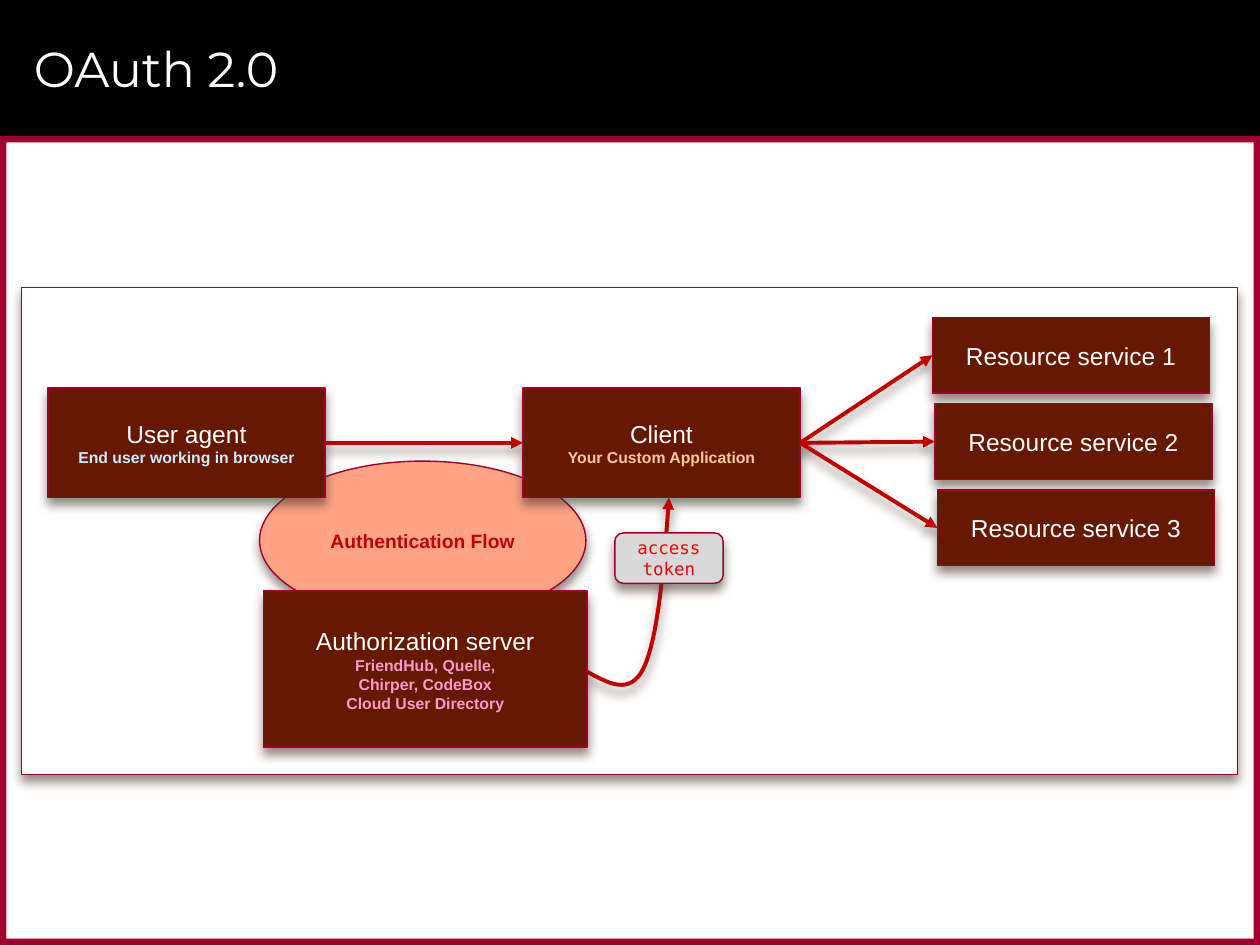
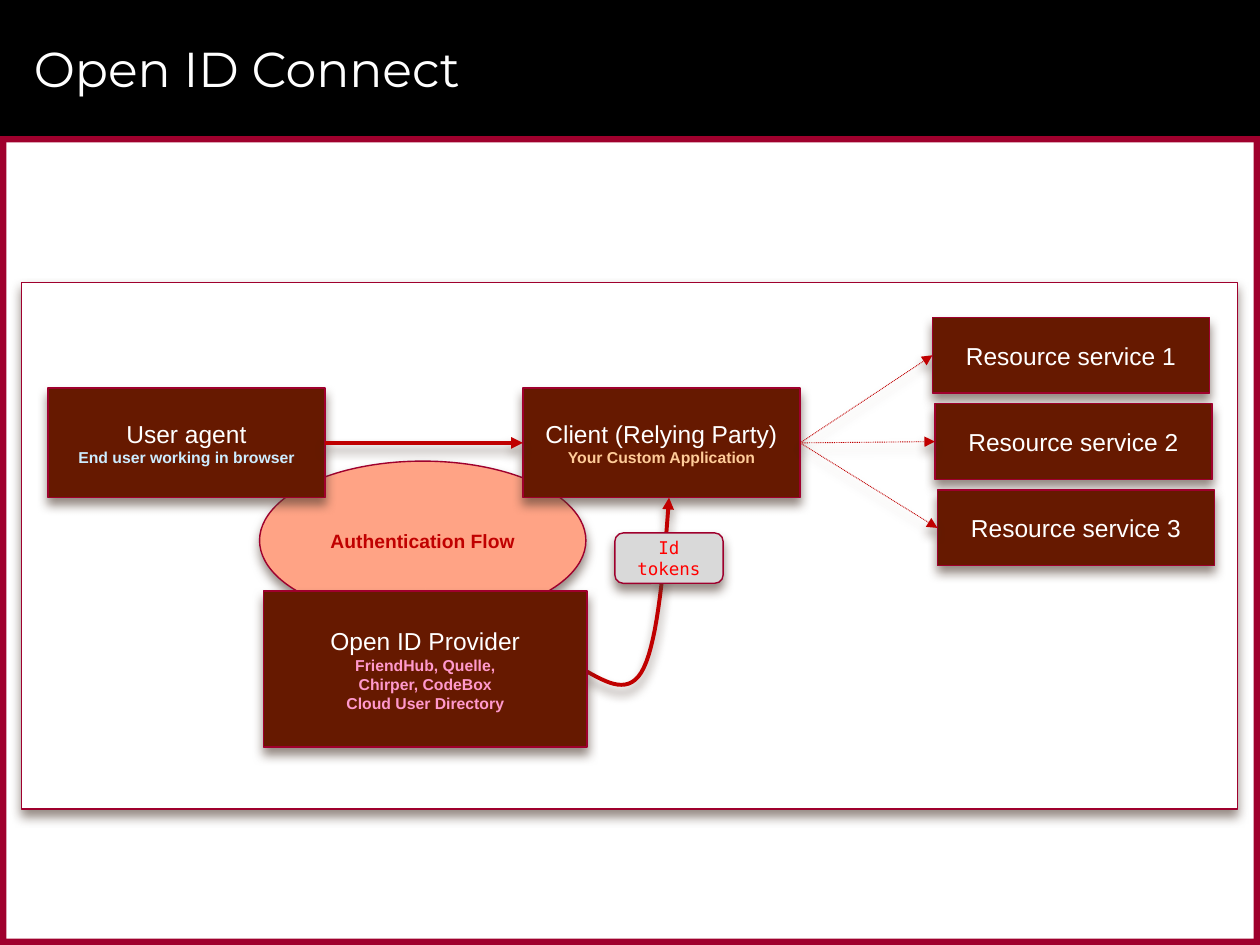
from pptx import Presentation
from pptx.dml.color import RGBColor
from pptx.enum.dml import MSO_LINE
from pptx.enum.shapes import MSO_CONNECTOR, MSO_SHAPE
from pptx.enum.text import MSO_ANCHOR, PP_ALIGN
from pptx.oxml import parse_xml
from pptx.oxml.ns import nsdecls, qn
from pptx.util import Inches, Pt

# Shared look
BLACK, WHITE = "000000", "FFFFFF"
CRIMSON, BROWN, ARROW_RED = "9F002D", "661900", "C00000"
BODY_FONT, TITLE_FONT, CODE_FONT = "Arial", "Montserrat", "DejaVu Sans Mono"
BANDS = [
    (0, 0, 10, 1.08, BLACK),
    (0, 1.08, 10, 0.05, CRIMSON),
    (0, 7.45, 10, 0.05, CRIMSON),
    (9.95, 1.08, 0.05, 6.42, CRIMSON),
    (0, 1.08, 0.05, 6.42, CRIMSON),
]
SHADOW = (
    f'<a:effectLst {nsdecls("a")}>'
    f'<a:outerShdw blurRad="{Pt(6)}" dist="{Pt(4)}" dir="5400000" rotWithShape="0">'
    '<a:srgbClr val="4E3B30"><a:alpha val="60000"/></a:srgbClr>'
    '</a:outerShdw></a:effectLst>'
)

# Connection sites of a rectangle
LEFT_SITE, RIGHT_SITE = 1, 3

# Token path: start point, then two cubic curves
TOKEN_START = (4.64, 5.32)
TOKEN_CURVES = [
    ((4.82, 5.42), (5, 5.53), (5.11, 5.3)),
    ((5.22, 5.07), (5.27, 4.51), (5.31, 3.95)),
]
CURVE_STEPS = 16

PROVIDERS = ["FriendHub, Quelle,", "Chirper, CodeBox", "Cloud User Directory"]


def color(hex_text):
    return RGBColor.from_string(hex_text)


def add_shadow(shape):
    shape._element.spPr.append(parse_xml(SHADOW))


def add_band(page, left, top, width, height, fill):
    band = page.shapes.add_shape(
        MSO_SHAPE.RECTANGLE, Inches(left), Inches(top), Inches(width), Inches(height))
    band.shadow.inherit = False
    band.fill.solid()
    band.fill.fore_color.rgb = color(fill)
    band.line.fill.background()


def add_title(page, text):
    box = page.shapes.add_textbox(Inches(0.17), Inches(0.08), Inches(9.42), Inches(0.92))
    frame = box.text_frame
    frame.word_wrap = True
    frame.vertical_anchor = MSO_ANCHOR.MIDDLE
    write_line(frame.paragraphs[0], text, 28, WHITE, font=TITLE_FONT, align=PP_ALIGN.LEFT)


def write_line(para, text, size, ink, bold=False, font=BODY_FONT, align=PP_ALIGN.CENTER):
    para.text = text
    para.alignment = align
    para.font.name = font
    para.font.size = Pt(size)
    para.font.bold = bold
    para.font.color.rgb = color(ink)


def add_box(page, left, top, width, height, fill=BROWN, kind=MSO_SHAPE.RECTANGLE):
    """Draw a filled, outlined shape with the shared shadow."""
    box = page.shapes.add_shape(
        kind, Inches(left), Inches(top), Inches(width), Inches(height))
    box.fill.solid()
    box.fill.fore_color.rgb = color(fill)
    box.line.color.rgb = color(CRIMSON)
    box.line.width = Pt(0.79)
    add_shadow(box)
    box.text_frame.word_wrap = True
    box.text_frame.vertical_anchor = MSO_ANCHOR.MIDDLE
    return box


def add_role(page, left, top, width, height, name, details=(), detail_ink=WHITE):
    """Draw a brown box with a name and small bold lines below it."""
    box = add_box(page, left, top, width, height)
    frame = box.text_frame
    write_line(frame.paragraphs[0], name, 14, WHITE)
    for detail in details:
        write_line(frame.add_paragraph(), detail, 9, detail_ink, bold=True)
    return box


def style_arrow(arrow, width=2.25, dash=None):
    arrow.line.color.rgb = color(ARROW_RED)
    arrow.line.width = Pt(width)
    if dash:
        arrow.line.dash_style = dash
    outline = arrow._element.spPr.find(qn("a:ln"))
    outline.append(parse_xml(f'<a:tailEnd {nsdecls("a")} type="triangle"/>'))
    add_shadow(arrow)


def add_arrow(page, source, target, **style):
    arrow = page.shapes.add_connector(MSO_CONNECTOR.STRAIGHT, 0, 0, 0, 0)
    arrow.begin_connect(source, RIGHT_SITE)
    arrow.end_connect(target, LEFT_SITE)
    style_arrow(arrow, **style)


def curve_point(t, *controls):
    weights = ((1 - t) ** 3, 3 * t * (1 - t) ** 2, 3 * t * t * (1 - t), t ** 3)
    return tuple(
        Inches(sum(weight * point[axis] for weight, point in zip(weights, controls)))
        for axis in (0, 1))


def add_token_path(page):
    start, points = TOKEN_START, []
    for curve in TOKEN_CURVES:
        points += [curve_point(step / CURVE_STEPS, start, *curve)
                   for step in range(1, CURVE_STEPS + 1)]
        start = curve[-1]
    builder = page.shapes.build_freeform(*(Inches(value) for value in TOKEN_START))
    builder.add_line_segments(points, close=False)
    token_path = builder.convert_to_shape()
    token_path.fill.background()
    style_arrow(token_path)


def add_flow_page(deck, title, panel_top, panel_height, client_name, server_name,
                  token, service_arrow):
    page = deck.slides.add_slide(deck.slide_layouts[6])
    for band in BANDS:
        add_band(page, *band)

    # Panel and authentication ellipse
    add_box(page, 0.17, panel_top, 9.65, panel_height, WHITE)
    ellipse = add_box(page, 2.06, 3.66, 2.59, 1.26, "FFA385", MSO_SHAPE.OVAL)
    write_line(ellipse.text_frame.paragraphs[0], "Authentication Flow", 11,
               ARROW_RED, bold=True)
    add_title(page, title)

    # Roles and resource services
    agent = add_role(page, 0.38, 3.08, 2.2, 0.87, "User agent",
                     ["End user working in browser"], "CCECFF")
    client = add_role(page, 4.15, 3.08, 2.2, 0.87, client_name,
                      ["Your Custom Application"], "FFCC99")
    services = [
        add_role(page, 7.4 + 0.02 * index, 2.52 + 0.685 * index, 2.2, 0.6,
                 f"Resource service {index + 1}")
        for index in range(3)]

    # Arrows
    for service in services:
        add_arrow(page, client, service, **service_arrow)
    add_arrow(page, agent, client)
    add_token_path(page)

    # Token and server
    token_box = add_box(page, 4.88, 4.23, 0.86, 0.4, "D9D9D9", MSO_SHAPE.ROUNDED_RECTANGLE)
    write_line(token_box.text_frame.paragraphs[0], token, 10, "FF0000", font=CODE_FONT)
    add_role(page, 2.09, 4.69, 2.57, 1.24, server_name, PROVIDERS, "FF99CC")


def main():
    deck = Presentation()
    deck.slide_width, deck.slide_height = Inches(10), Inches(7.5)
    add_flow_page(deck, "OAuth 2.0", 2.28, 3.87, "Client", "Authorization server",
                  "access token", {})
    add_flow_page(deck, "Open ID Connect", 2.24, 4.18, "Client (Relying Party)",
                  "Open ID Provider", "Id tokens",
                  {"width": 0.5, "dash": MSO_LINE.ROUND_DOT})
    deck.save("out.pptx")


if __name__ == "__main__":
    main()
